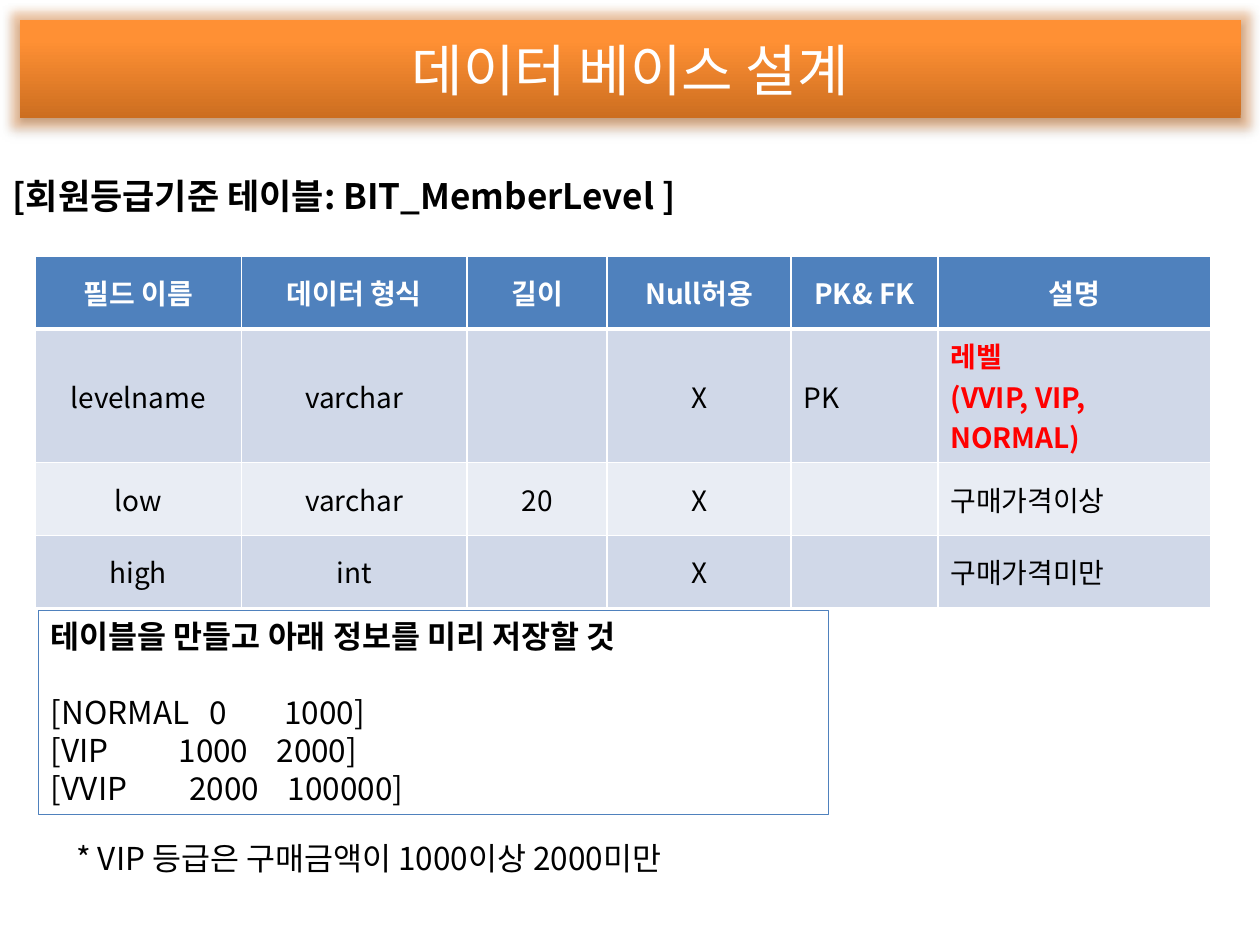
from dataclasses import dataclass

from lxml import etree
from pptx import Presentation
from pptx import util as u
from pptx.dml.color import RGBColor
from pptx.enum import shapes, text
from pptx.oxml import ns


@dataclass(frozen=True)
class Theme:
    font: str = "Noto Sans CJK KR"
    white: str = "FFFFFF"
    black: str = "000000"
    red: str = "FF0000"
    blue: str = "4F81BD"
    band_dark: str = "D0D8E8"
    band_light: str = "E9EDF4"
    orange_dark: str = "CC6E20"
    orange: str = "FF9034"
    glow: str = "F79646"
    title_size: float = 32
    heading_size: float = 20
    note_size: float = 18
    table_size: float = 16


@dataclass(frozen=True)
class Box:
    left: float
    top: float
    width: float
    height: float

    def lengths(self) -> tuple:
        return tuple(u.Pt(v) for v in (self.left, self.top, self.width, self.height))


@dataclass(frozen=True)
class Field:
    name: str
    kind: str
    length: str
    null: str
    key: str
    description: tuple[str, ...]
    highlighted: bool = False


@dataclass(frozen=True)
class Level:
    name: str
    low: str
    high: str
    low_stop: float
    high_stop: float


THEME = Theme()
ALIGN = text.PP_ALIGN
HEADERS = ("필드 이름", "데이터 형식", "길이", "Null허용", "PK& FK", "설명")
FIELDS = (
    Field("levelname", "varchar", "", "X", "PK", ("레벨", "(VVIP, VIP, NORMAL)"), True),
    Field("low", "varchar", "20", "X", "", ("구매가격이상",)),
    Field("high", "int", "", "X", "", ("구매가격미만",)),
)
LEVELS = (
    Level("NORMAL", "0", "1000", 90.5, 133.5),
    Level("VIP", "1000", "2000", 73, 129),
    Level("VVIP", "2000", "100000", 79, 135.5),
)
COLUMN_WIDTHS = (118, 129, 80, 105, 84, 156)
ROW_HEIGHTS = (41.5, 56, 41.5, 41.5)


def add_element(parent, tag: str, **attributes: object):
    values = {key: str(value) for key, value in attributes.items()}
    return etree.SubElement(parent, ns.qn(tag), values)


def add_run(paragraph, words: str, size: float, color: str, bold: bool = False) -> None:
    run = paragraph.add_run()
    run.text = words
    run.font.size = u.Pt(size)
    run.font.bold = bold
    run.font.color.rgb = RGBColor.from_string(color)
    run.font.name = THEME.font
    east_asian = etree.Element(ns.qn("a:ea"), {"typeface": THEME.font})
    run.font._element.find(ns.qn("a:latin")).addnext(east_asian)


def place(shape, box: Box) -> None:
    shape.left, shape.top, shape.width, shape.height = box.lengths()


def add_title(slide) -> None:
    title = slide.shapes.title
    place(title, Box(11.5, 11.5, 697.5, 56))
    title.fill.gradient()
    title.fill.gradient_angle = 90
    for stop, position, color in zip(title.fill.gradient_stops, (0, 0.8),
                                     (THEME.orange_dark, THEME.orange)):
        stop.position = position
        stop.color.rgb = RGBColor.from_string(color)
    effects = add_element(title._element.spPr, "a:effectLst")
    glow = add_element(effects, "a:glow", rad=u.Pt(11))
    shadow = add_element(effects, "a:outerShdw", blurRad=u.Pt(3.1), dist=u.Pt(1.8),
                         dir=5400000, rotWithShape=0)
    for effect, color, alpha in ((glow, THEME.glow, 40000), (shadow, THEME.black, 35000)):
        add_element(add_element(effect, "a:srgbClr", val=color), "a:alpha", val=alpha)
    frame = title.text_frame
    frame.vertical_anchor = text.MSO_ANCHOR.MIDDLE
    frame.auto_size = text.MSO_AUTO_SIZE.NONE
    paragraph = frame.paragraphs[0]
    paragraph.alignment = ALIGN.CENTER
    add_run(paragraph, "데이터 베이스 설계", THEME.title_size, THEME.white)


def add_heading(slide) -> None:
    body = slide.placeholders[1]
    place(body, Box(0, 96, 720, 444))
    body.text_frame.auto_size = text.MSO_AUTO_SIZE.NONE
    paragraph = body.text_frame.paragraphs[0]
    paragraph.space_before = u.Pt(0)
    paragraph.line_spacing = u.Pt(24)
    properties = paragraph._p.get_or_add_pPr()
    properties.set("marL", str(u.Pt(27)))
    properties.set("indent", str(u.Pt(-27)))
    add_element(properties, "a:buNone")
    add_run(paragraph, "[회원등급기준 테이블: BIT_MemberLevel ]",
            THEME.heading_size, THEME.black, True)


def set_borders(cell, top: float, bottom: float) -> None:
    properties = cell._tc.get_or_add_tcPr()
    for side, width in (("L", 1), ("R", 1), ("T", top), ("B", bottom)):
        line = add_element(properties, f"a:ln{side}", w=u.Pt(width))
        add_element(add_element(line, "a:solidFill"), "a:srgbClr", val=THEME.white)


def fill_cell(cell, lines: tuple[str, ...], fill: str, color: str,
              bold: bool, centered: bool) -> None:
    cell.fill.solid()
    cell.fill.fore_color.rgb = RGBColor.from_string(fill)
    cell.vertical_anchor = text.MSO_ANCHOR.MIDDLE
    for index, words in enumerate(lines):
        frame = cell.text_frame
        paragraph = frame.add_paragraph() if index else frame.paragraphs[0]
        paragraph.alignment = ALIGN.CENTER if centered else ALIGN.LEFT
        if words:
            add_run(paragraph, words, THEME.table_size, color, bold)


def add_field_table(slide) -> None:
    box = Box(20, 146.5, sum(COLUMN_WIDTHS), sum(ROW_HEIGHTS))
    table = slide.shapes.add_table(len(ROW_HEIGHTS), len(COLUMN_WIDTHS), *box.lengths()).table
    for column, width in zip(table.columns, COLUMN_WIDTHS):
        column.width = u.Pt(width)
    for row, height in zip(table.rows, ROW_HEIGHTS):
        row.height = u.Pt(height)
    for index, header in enumerate(HEADERS):
        cell = table.cell(0, index)
        set_borders(cell, 1, 3)
        fill_cell(cell, (header,), THEME.blue, THEME.white, True, True)
    for row_index, field in enumerate(FIELDS, 1):
        fill = THEME.band_dark if row_index % 2 else THEME.band_light
        values = ((field.name,), (field.kind,), (field.length,), (field.null,),
                  (field.key,), field.description)
        for index, lines in enumerate(values):
            cell = table.cell(row_index, index)
            highlighted = field.highlighted and lines is field.description
            set_borders(cell, 3 if row_index == 1 else 1, 1)
            fill_cell(cell, lines, fill, THEME.red if highlighted else THEME.black,
                      highlighted, index < 4)


def add_note_line(paragraph, words: str, bold: bool = False) -> None:
    paragraph.alignment = ALIGN.LEFT
    paragraph.line_spacing = u.Pt(21.7)
    add_run(paragraph, words, THEME.note_size, THEME.black, bold)


def add_level_box(slide) -> None:
    box = Box(22, 349, 451.5, 116.5)
    shape = slide.shapes.add_shape(shapes.MSO_SHAPE.RECTANGLE, *box.lengths())
    shape.shadow.inherit = False
    shape.fill.background()
    shape.line.color.rgb = RGBColor.from_string(THEME.blue)
    shape.line.width = u.Pt(0.75)
    frame = shape.text_frame
    frame.word_wrap = True
    frame.vertical_anchor = text.MSO_ANCHOR.TOP
    heading = frame.paragraphs[0]
    heading.space_after = u.Pt(21.7)
    add_note_line(heading, "테이블을 만들고 아래 정보를 미리 저장할 것", True)
    for level in LEVELS:
        paragraph = frame.add_paragraph()
        add_note_line(paragraph, f"[{level.name}\t{level.low}\t{level.high}]")
        stops = add_element(paragraph._p.get_or_add_pPr(), "a:tabLst")
        for position in (level.low_stop, level.high_stop):
            add_element(stops, "a:tab", pos=u.Pt(position), algn="l")


def add_footnote(slide) -> None:
    shape = slide.shapes.add_textbox(*Box(36.5, 476, 451.5, 29).lengths())
    shape.text_frame.word_wrap = True
    add_note_line(shape.text_frame.paragraphs[0],
                  "* VIP 등급은 구매금액이 1000이상 2000미만")


def main() -> None:
    presentation = Presentation()
    presentation.slide_width, presentation.slide_height = u.Pt(720), u.Pt(540)
    slide = presentation.slides.add_slide(presentation.slide_layouts[1])
    add_title(slide)
    add_heading(slide)
    add_field_table(slide)
    add_level_box(slide)
    add_footnote(slide)
    presentation.save("out.pptx")


main()
